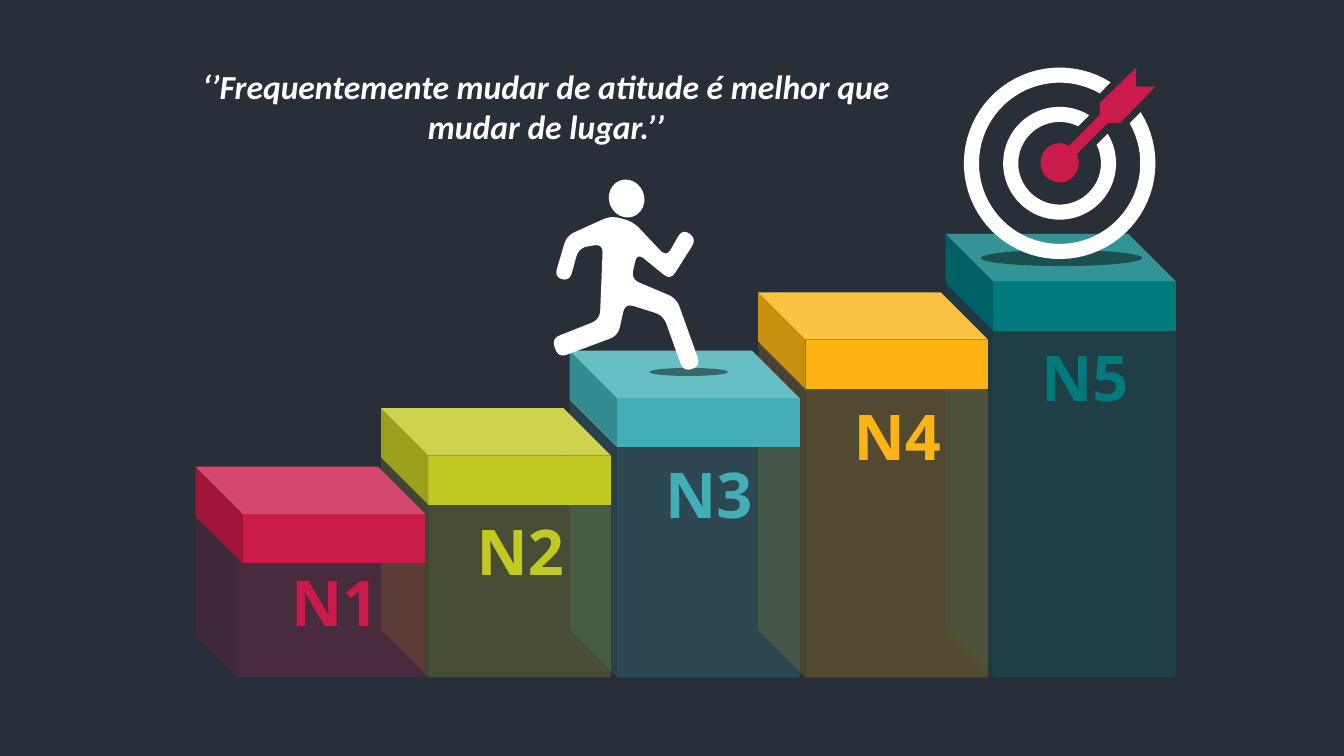
from dataclasses import dataclass
from math import asin, cos, dist, pi, radians, sin

from lxml.etree import SubElement
from pptx import Presentation
from pptx.dml.color import RGBColor
from pptx.enum.shapes import MSO_SHAPE
from pptx.enum.text import MSO_ANCHOR, MSO_AUTO_SIZE, PP_ALIGN
from pptx.oxml.ns import qn
from pptx.shapes.autoshape import Shape
from pptx.slide import Slide
from pptx.text.text import TextFrame
from pptx.util import Inches, Pt

NAVY = RGBColor(0x28, 0x2F, 0x39)
WHITE = RGBColor(0xFF, 0xFF, 0xFF)
BLACK = RGBColor(0x00, 0x00, 0x00)
CRIMSON = RGBColor(0xCB, 0x1B, 0x4A)
LIME = RGBColor(0xC2, 0xC9, 0x23)
AQUA = RGBColor(0x42, 0xAF, 0xB6)
AMBER = RGBColor(0xFC, 0xB4, 0x14)
TEAL = RGBColor(0x00, 0x7A, 0x7D)

STEP_WIDTH = 2.28
LID_HEIGHT = 0.96
DEPTH = 0.47
FLOOR = 6.72
TARGET_X, TARGET_Y = 10.51, 1.62

Point = tuple[float, float]


@dataclass(frozen=True)
class Step:
    name: str
    color: RGBColor
    left: float
    lid_top: float
    glass_top: float
    label_gap: float = 0.99
    glass_depth: float = DEPTH


@dataclass(frozen=True)
class Ring:
    outer: float
    inner: float
    half_gap: float


STEPS = [
    Step("N1", CRIMSON, 1.94, 4.63, 5.13, 0.91, 0.41),
    Step("N2", LIME, 3.78, 4.05, 4.52),
    Step("N3", AQUA, 5.65, 3.48, 3.95),
    Step("N4", AMBER, 7.52, 2.9, 3.41),
    Step("N5", TEAL, 9.38, 2.32, 2.82),
]

RINGS = [Ring(0.95, 0.8, 0.21), Ring(0.56, 0.41, 0.13)]

# Upper half of the arrow, right and up from the target's centre
ARROW_HALF = [(0.05, 0.13), (0.4, 0.48), (0.4, 0.6), (0.76, 0.95)]
ARROW_NOTCH = (0.76, 0.76)

# Corners of the runner, rounded when drawn
RUNNER = [
    (5.98, 2.42), (5.74, 2.46), (5.65, 2.79), (5.5, 2.75), (5.62, 2.34),
    (6.06, 2.14), (6.28, 2.2), (6.61, 2.55), (6.77, 2.27), (6.91, 2.37),
    (6.65, 2.78), (6.32, 2.51), (6.26, 2.77), (6.71, 2.96), (6.95, 3.63),
    (6.78, 3.69), (6.58, 3.13), (6.2, 3.01), (6.13, 3.33), (5.54, 3.55),
    (5.47, 3.36), (5.95, 3.17),
]


def paint(shape: Shape, color: RGBColor, opacity: int = 100) -> None:
    shape.shadow.inherit = False
    shape.line.fill.background()
    shape.fill.solid()
    shape.fill.fore_color.rgb = color
    if opacity < 100:
        tint = shape._element.spPr.find(qn("a:solidFill"))[0]
        SubElement(tint, qn("a:alpha")).set("val", str(opacity * 1000))


def add_cube(slide: Slide, step: Step, top: float, height: float,
             depth: float, opacity: int = 100) -> None:
    cube = slide.shapes.add_shape(MSO_SHAPE.CUBE, Inches(step.left), Inches(top),
                                  Inches(STEP_WIDTH), Inches(height))
    cube.adjustments[0] = depth / min(STEP_WIDTH, height)
    cube._element.spPr.xfrm.set("flipH", "1")
    paint(cube, step.color, opacity)


def add_oval(slide: Slide, left: float, top: float, width: float, height: float,
             color: RGBColor, opacity: int = 100) -> Shape:
    oval = slide.shapes.add_shape(MSO_SHAPE.OVAL, Inches(left), Inches(top),
                                  Inches(width), Inches(height))
    paint(oval, color, opacity)
    return oval


def add_outline(slide: Slide, points: list[Point], color: RGBColor) -> None:
    corners = [(Inches(x), Inches(y)) for x, y in points]
    builder = slide.shapes.build_freeform(*corners[0])
    builder.add_line_segments(corners[1:], close=True)
    paint(builder.convert_to_shape(), color)


def arc(radius: float, half_gap: float, count: int = 72) -> list[Point]:
    """Points round the target, leaving an even gap at the upper right."""
    gap = asin(half_gap / radius)
    start, sweep = radians(45) + gap, 2 * pi - 2 * gap
    angles = [start + sweep * i / count for i in range(count + 1)]
    return [(TARGET_X + radius * cos(a), TARGET_Y - radius * sin(a)) for a in angles]


def between(a: Point, b: Point, share: float) -> Point:
    return a[0] + (b[0] - a[0]) * share, a[1] + (b[1] - a[1]) * share


def rounded(corners: list[Point], reach: float = 0.09, count: int = 6) -> list[Point]:
    """Replace each corner by a short quadratic curve."""
    points = []
    for i, corner in enumerate(corners):
        before, after = corners[i - 1], corners[(i + 1) % len(corners)]
        start = between(corner, before, min(0.5, reach / dist(corner, before)))
        end = between(corner, after, min(0.5, reach / dist(corner, after)))
        for t in (k / count for k in range(count + 1)):
            points.append(between(between(start, corner, t), between(corner, end, t), t))
    return points


def write(frame: TextFrame, text: str, font_name: str, size: int,
          color: RGBColor, italic: bool = False) -> None:
    frame.text = text
    frame.word_wrap = True
    frame.auto_size = MSO_AUTO_SIZE.NONE
    frame.vertical_anchor = MSO_ANCHOR.TOP
    paragraph = frame.paragraphs[0]
    paragraph.alignment = PP_ALIGN.CENTER
    font = paragraph.runs[0].font
    font.name, font.size, font.bold, font.italic = font_name, Pt(size), True, italic
    font.color.rgb = color


def main() -> None:
    deck = Presentation()
    deck.slide_width, deck.slide_height = Inches(13.33), Inches(7.5)
    slide = deck.slides.add_slide(deck.slide_layouts[5])
    slide.background.fill.solid()
    slide.background.fill.fore_color.rgb = NAVY

    # Quote
    quote = slide.shapes.title
    quote.left, quote.top = Inches(1.67), Inches(0.6)
    quote.width, quote.height = Inches(7.49), Inches(0.91)
    write(quote.text_frame, "‘’Frequentemente mudar de atitude é melhor que mudar de lugar.’’",
          "Calibri", 24, WHITE, italic=True)

    # Staircase: glass bodies from the back, then lids and labels
    for step in reversed(STEPS):
        add_cube(slide, step, step.glass_top, FLOOR - step.glass_top, step.glass_depth, 20)
    for step in STEPS:
        add_cube(slide, step, step.lid_top, LID_HEIGHT, DEPTH)
    for step in STEPS:
        label = slide.shapes.add_textbox(Inches(step.left + 0.73),
                                         Inches(step.lid_top + step.label_gap),
                                         Inches(1.3), Inches(0.86))
        write(label.text_frame, step.name, "Open Sans", 45, step.color)

    # Target with its arrow
    add_oval(slide, 9.73, 2.48, 1.6, 0.16, BLACK, 46)
    for ring in RINGS:
        inner_edge = arc(ring.inner, ring.half_gap)
        add_outline(slide, arc(ring.outer, ring.half_gap) + inner_edge[::-1], WHITE)
    mirrored = [(up, right) for right, up in reversed(ARROW_HALF)]
    arrow = ARROW_HALF + [ARROW_NOTCH] + mirrored
    add_outline(slide, [(TARGET_X + right, TARGET_Y - up) for right, up in arrow], CRIMSON)
    add_oval(slide, 10.32, 1.42, 0.38, 0.39, CRIMSON)

    # Runner
    add_oval(slide, 6.44, 3.65, 0.78, 0.08, BLACK, 46)
    add_outline(slide, rounded(RUNNER), WHITE)
    head = add_oval(slide, 6.04, 1.78, 0.35, 0.38, WHITE)
    head.rotation = 340.1

    deck.save("out.pptx")


if __name__ == "__main__":
    main()
